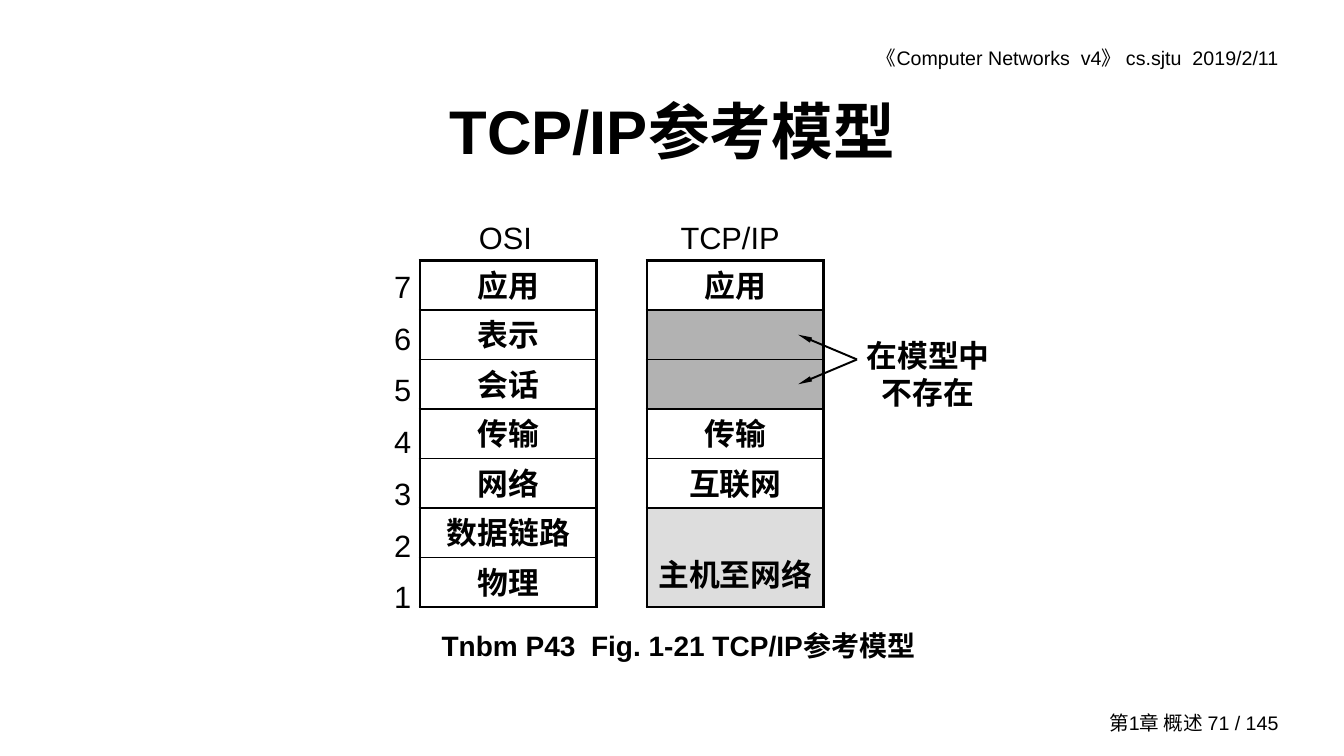
"""Build the slide comparing the OSI layers with the TCP/IP reference model."""
from lxml.etree import SubElement
from pptx import Presentation
from pptx.dml.color import RGBColor
from pptx.enum.shapes import MSO_CONNECTOR
from pptx.enum.text import MSO_ANCHOR, PP_ALIGN
from pptx.oxml import parse_xml
from pptx.oxml.ns import nsdecls, qn
from pptx.util import Inches, Pt

COLORS = {"ink": "000000", "paper": "FFFFFF", "absent": "B2B2B2", "host": "DDDDDD"}
LATIN, HAN = "Arial", "Noto Sans CJK SC"
UNIT = Inches(1 / 12)
ROW = Inches(3.44 / 7)
TABLE_TOP, TABLE_WIDTH = 31 * UNIT, 21 * UNIT


def style(frame, size, align, bold=False, spacing=None):
    """Format every paragraph of a text frame."""
    for para in frame.paragraphs:
        para.alignment = align
        if spacing:
            para.line_spacing = spacing
        para.font.size = Pt(size)
        para.font.bold = bold
        para.font.name = LATIN
        para.font.color.rgb = RGBColor.from_string(COLORS["ink"])
        for span in para.runs:
            span.font.name = LATIN
            SubElement(span.font._element, qn("a:ea"), typeface=HAN)


def add_text(page, place, text, size, align, bold=False, spacing=None, inset=(0, 0), anchor=MSO_ANCHOR.TOP):
    """Add a wrapped text box at the given left, top, width and height in inches."""
    frame = page.shapes.add_textbox(*[Inches(value) for value in place]).text_frame
    frame.word_wrap = True
    frame.vertical_anchor = anchor
    frame.margin_left = frame.margin_right = Inches(inset[0])
    frame.margin_top = frame.margin_bottom = Inches(inset[1])
    frame.text = text
    style(frame, size, align, bold, spacing)


deck = Presentation()
deck.slide_width, deck.slide_height = Inches(13.33), Inches(7.5)
page = deck.slides.add_slide(deck.slide_layouts[5])

title = page.shapes.title
title.left, title.top, title.width, title.height = 12 * UNIT, 8 * UNIT, 136 * UNIT, 15 * UNIT
title.text_frame.text = "TCP/IP参考模型"
title.text_frame.vertical_anchor = MSO_ANCHOR.MIDDLE
style(title.text_frame, 44, PP_ALIGN.CENTER, True)

padded = (0.1, 0.05)
middle = MSO_ANCHOR.MIDDLE
add_text(page, (7.14, 0.4, 5.64, 0.34), "《Computer Networks  v4》 cs.sjtu  2019/2/11",
         14, PP_ALIGN.RIGHT, inset=padded, anchor=middle)
add_text(page, (10, 7, 2.78, 0.33), "第1章 概述 71 / 145", 14, PP_ALIGN.RIGHT, inset=padded, anchor=middle)
add_text(page, (3.97, 6.19, 5.52, 0.43), "Tnbm P43  Fig. 1-21 TCP/IP参考模型",
         20, PP_ALIGN.CENTER, True, inset=padded, anchor=middle)
add_text(page, (8.58, 3.34, 1.25, 0.74), "在模型中不存在", 22, PP_ALIGN.CENTER, True, Pt(26.5))
add_text(page, (3.83, 2.51, 0.33, 3.63), "\n".join("7654321"), 22, PP_ALIGN.CENTER, spacing=1.4)
add_text(page, (4.75, 2.17, 0.6, 0.37), "OSI", 22, PP_ALIGN.LEFT)
add_text(page, (6.75, 2.17, 1.1, 0.37), "TCP/IP", 22, PP_ALIGN.LEFT)

osi = [(name, 1, "paper") for name in ("应用", "表示", "会话", "传输", "网络", "数据链路", "物理")]
tcp_ip = [("应用", 1, "paper"), ("", 1, "absent"), ("", 1, "absent"),
          ("传输", 1, "paper"), ("互联网", 1, "paper"), ("主机至网络", 2, "host")]

for column, layers in ((50, osi), (77, tcp_ip)):
    table = page.shapes.add_table(len(layers), 1, column * UNIT, TABLE_TOP, TABLE_WIDTH, 7 * ROW).table
    table.first_row = table.horz_banding = False
    for index, (name, span_rows, fill) in enumerate(layers):
        table.rows[index].height = span_rows * ROW
        cell = table.cell(index, 0)
        cell.text = name
        cell.margin_left = cell.margin_right = Inches(0.08)
        cell.margin_top, cell.margin_bottom = Inches(0.04), Inches(0.04 * span_rows ** 1.5)
        cell.vertical_anchor = MSO_ANCHOR.BOTTOM
        style(cell.text_frame, 22, PP_ALIGN.CENTER, True, Pt(26.5))
        cell.fill.solid()
        cell.fill.fore_color.rgb = RGBColor.from_string(COLORS[fill])
        top = 2.25 if index == 0 else 1
        bottom = 2.25 if index == len(layers) - 1 else 1
        for order, (side, width) in enumerate((("L", 2.25), ("R", 2.25), ("T", top), ("B", bottom))):
            border = parse_xml(
                f'<a:ln{side} {nsdecls("a")} w="{Pt(width)}"><a:solidFill>'
                f'<a:srgbClr val="{COLORS["ink"]}"/></a:solidFill></a:ln{side}>')
            cell._tc.get_or_add_tcPr().insert(order, border)

for row in (1.5, 2.5):
    arrow = page.shapes.add_connector(MSO_CONNECTOR.STRAIGHT, 95 * UNIT, int(TABLE_TOP + row * ROW),
                                      102 * UNIT, TABLE_TOP + 2 * ROW)
    arrow.line.width = Pt(1.38)
    arrow.line.color.rgb = RGBColor.from_string(COLORS["ink"])
    SubElement(arrow.line._get_or_add_ln(), qn("a:headEnd"), type="triangle", w="sm", len="lg")
    SubElement(arrow._element.spPr, qn("a:effectLst"))

deck.save("out.pptx")
